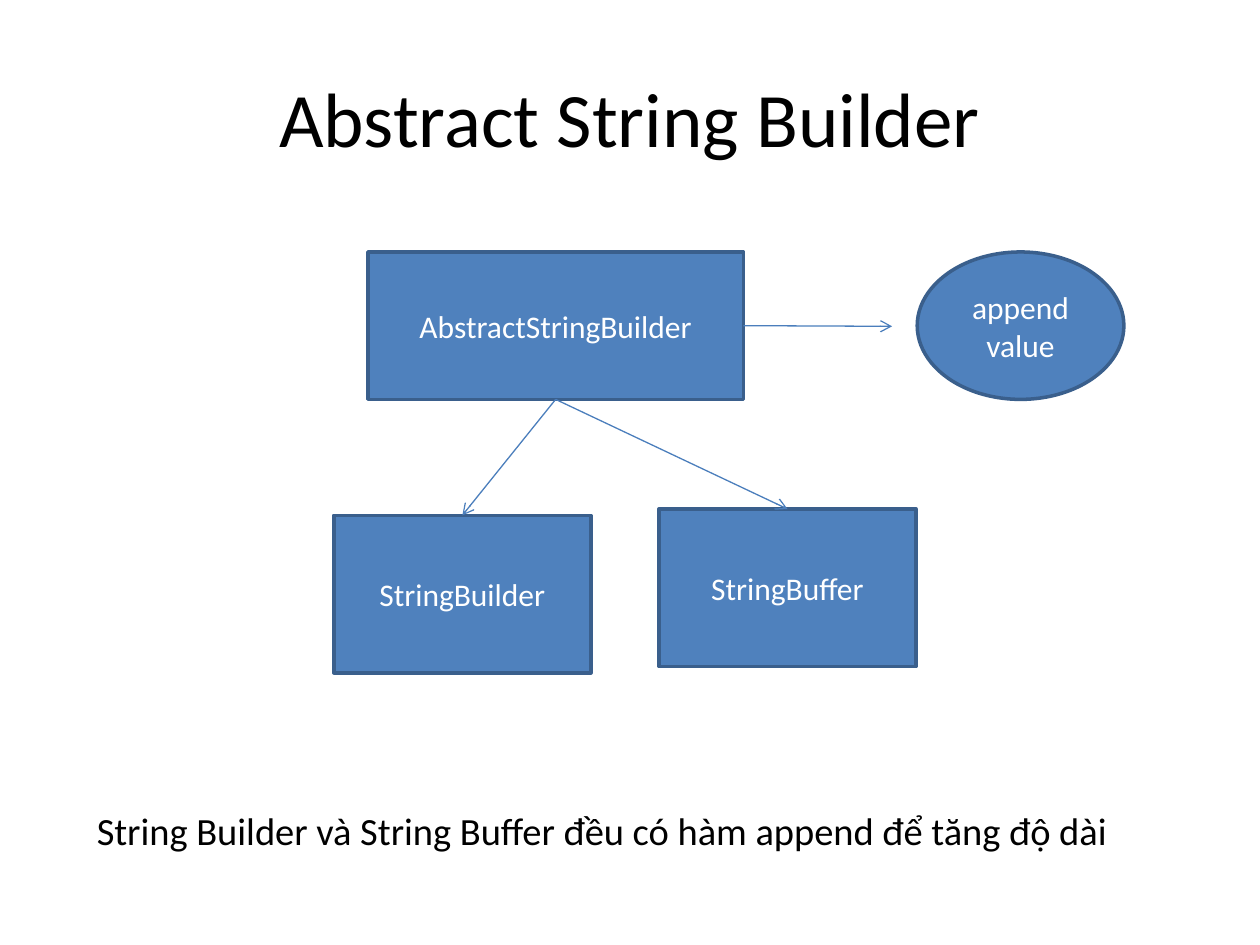
from lxml.etree import SubElement
from pptx import Presentation
from pptx.dml.color import RGBColor as RGB
from pptx.enum.shapes import MSO_CONNECTOR as Conn, MSO_SHAPE as Kind
from pptx.enum.text import MSO_ANCHOR as Anchor, PP_ALIGN as Align
from pptx.oxml.ns import qn
from pptx.util import Inches, Pt

COLORS = {"text": "000000", "label": "FFFFFF", "fill": "4F81BD",
          "edge": "3A5F8C", "arrow": "4B7EBC"}
BOTTOM, RIGHT, TOP = 2, 3, 0


class Board:
    """Draws styled elements on the current slide."""

    def __init__(self, slide, font="Calibri"):
        self.slide = slide
        self.font = font

    def color(self, name):
        return RGB.from_string(COLORS[name])

    def label(self, shape, text, size, color, align, anchor):
        frame = shape.text_frame
        frame.text = text
        frame.word_wrap = True
        frame.vertical_anchor = anchor
        para = frame.paragraphs[0]
        para.alignment = align
        font = para.runs[0].font
        font.name, font.size = self.font, Pt(size)
        font.color.rgb = self.color(color)

    def text(self, text, area, size, align=Align.LEFT, anchor=Anchor.TOP, wrap=True):
        box = self.slide.shapes.add_textbox(*map(Inches, area))
        self.label(box, text, size, "text", align, anchor)
        box.text_frame.word_wrap = wrap

    def node(self, text, area, kind=Kind.RECTANGLE):
        shape = self.slide.shapes.add_shape(kind, *map(Inches, area))
        shape.shadow.inherit = False
        shape.fill.solid()
        shape.fill.fore_color.rgb = self.color("fill")
        shape.line.color.rgb = self.color("edge")
        shape.line.width = Pt(2)
        self.label(shape, text, 18, "label", Align.CENTER, Anchor.MIDDLE)
        return shape

    def arrow(self, start, side, end=None, point=(0, 0)):
        x, y = map(Inches, point)
        line = self.slide.shapes.add_connector(Conn.STRAIGHT, x, y, x, y)
        line.begin_connect(start, side)
        if end is not None:
            line.end_connect(end, TOP)
        line.line.color.rgb = self.color("arrow")
        line.line.width = Pt(0.75)
        SubElement(line.get_or_add_ln(), qn("a:tailEnd"), type="arrow")
        SubElement(line._element.spPr, qn("a:effectLst"))


def main():
    deck = Presentation()
    deck.slide_width, deck.slide_height = Inches(10), Inches(7.5)
    board = Board(deck.slides.add_slide(deck.slide_layouts[6]))

    board.text("Abstract String Builder", (0.5, 0.3, 9, 1.25), 44,
               Align.CENTER, Anchor.MIDDLE)
    board.text("String Builder và String Buffer đều có hàm append để tăng độ dài",
               (0.67, 6.36, 8.24, 0.47), 22, wrap=False)

    base = board.node("AbstractStringBuilder", (2.92, 2, 2.98, 1.17))
    for name, left, top in (("StringBuilder", 2.65, 4.09),
                            ("StringBuffer", 5.23, 4.04)):
        child = board.node(name, (left, top, 2.04, 1.25))
        board.arrow(base, BOTTOM, child)
    board.arrow(base, RIGHT, point=(7.08, 2.59))
    board.node("append value", (7.28, 2, 1.64, 1.17), Kind.OVAL)

    deck.save("out.pptx")


if __name__ == "__main__":
    main()
